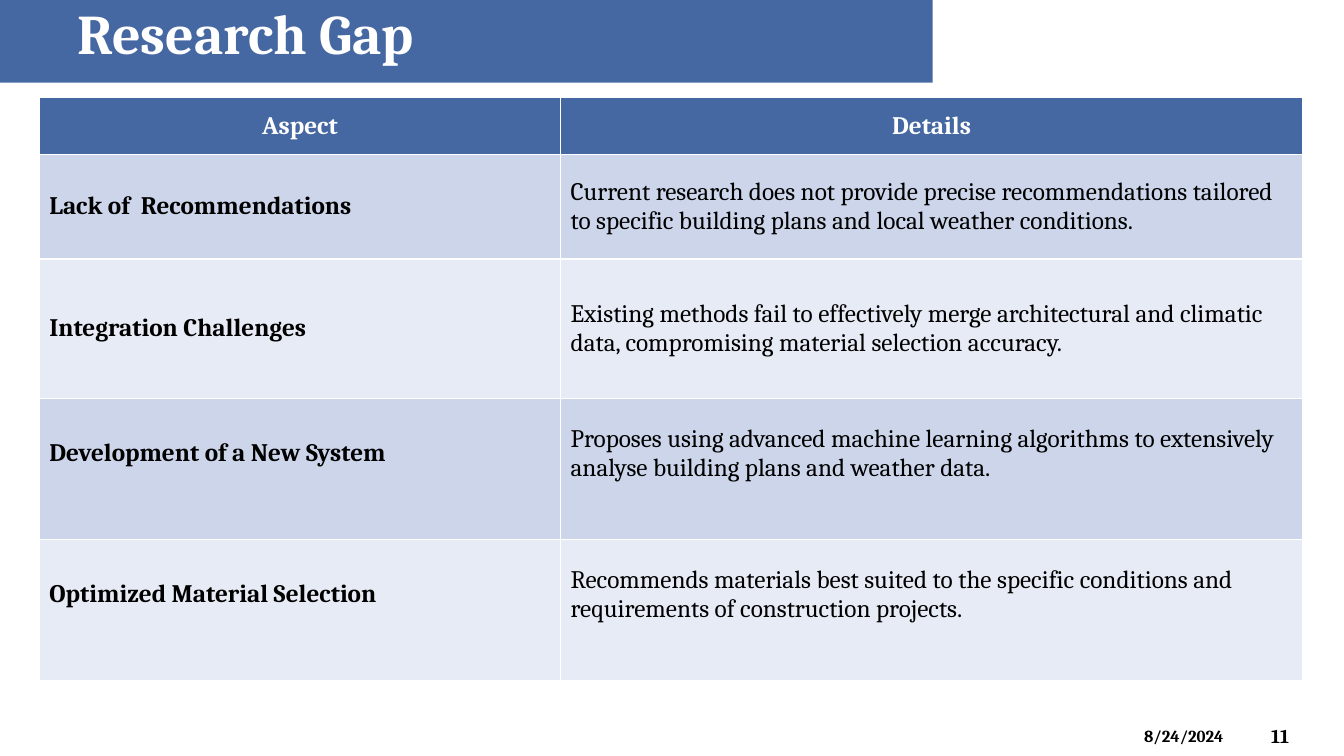
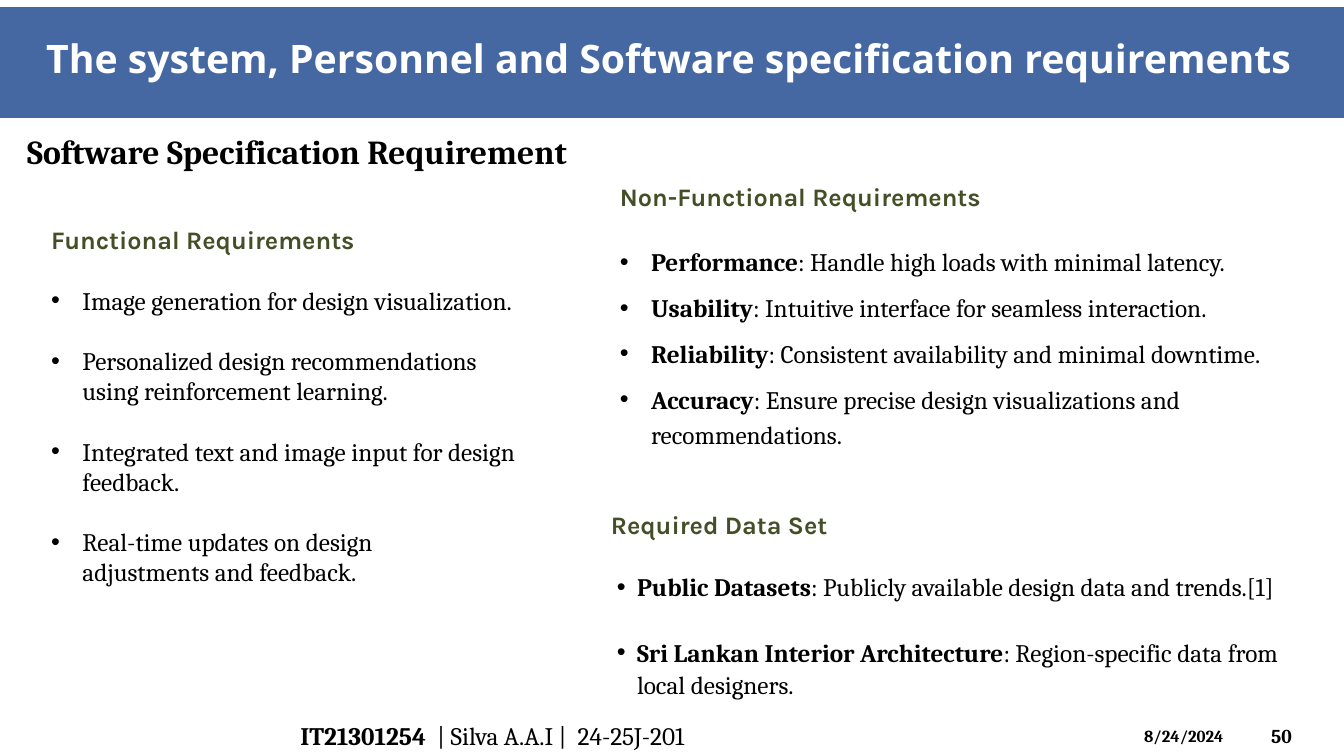
from dataclasses import dataclass

from lxml import etree
from pptx import Presentation
from pptx.dml.color import RGBColor
from pptx.enum.shapes import MSO_SHAPE as Preset
from pptx.enum.text import MSO_ANCHOR as Anchor, PP_ALIGN as Align
from pptx.oxml.ns import qn
from pptx.slide import Slide
from pptx.util import Inches, Length, Pt

COLOURS = {
    "band": "4668A2",
    "white": "FFFFFF",
    "ink": "000000",
    "heading": "444F27",
    "row_dark": "CCD5EA",
    "row_light": "E7EBF5",
}
SERIF = "Cambria"
HEADING_FONT = "Karla"
TITLE_FONT = "Open Sans"
DATE = "8/24/2024"
NBSP = chr(160)
BLANK_LINE = Pt(21.5)


@dataclass(frozen=True)
class Area:
    left: float
    top: float
    width: float
    height: float

    def lengths(self) -> tuple[Length, ...]:
        return tuple(Inches(n) for n in (self.left, self.top, self.width, self.height))


@dataclass(frozen=True)
class Style:
    size: float
    font: str = SERIF
    colour: str = "ink"
    bold: bool = False


@dataclass(frozen=True)
class Item:
    text: str
    label: str = ""


@dataclass(frozen=True)
class BulletList:
    area: Area
    heading: str
    items: tuple[Item, ...]
    indent: float = 0.31
    hanging: float = 0.31
    heading_indent: float = 0
    line_spacing: float | Length = 1.0
    gap_before: Length = Pt(0)
    gap_after: Length = Pt(0)


@dataclass(frozen=True)
class GapRow:
    aspect: str
    details: str
    height: float
    bottom_margin: float = 0.05


BODY = Style(18)
STRONG = Style(18, bold=True)
LIST_HEADING = Style(18, HEADING_FONT, "heading", True)
TABLE_HEADER = Style(18, colour="white", bold=True)

GAP_ROWS = (
    GapRow("Lack of  Recommendations",
           "Current research does not provide precise recommendations tailored "
           "to specific building plans and local weather conditions.", 1.04),
    GapRow("Integration Challenges",
           "Existing methods fail to effectively merge architectural and climatic "
           "data, compromising material selection accuracy.", 1.38),
    GapRow("Development of a New System",
           "Proposes using advanced machine learning algorithms to extensively "
           "analyse building plans and weather data.", 1.4, 0.35),
    GapRow("Optimized Material Selection",
           "Recommends materials best suited to the specific conditions and "
           "requirements of construction projects.", 1.4, 0.35),
)

REQUIREMENT_LISTS = (
    BulletList(
        Area(0.41, 2.18, 5, 3.74),
        "Functional Requirements",
        (
            Item("Image generation for design visualization."),
            Item("Personalized design recommendations using reinforcement learning."),
            Item("Integrated text and image input for design feedback."),
            Item(f"Real-time updates on design adjustments{NBSP}and{NBSP}feedback."),
        ),
        gap_before=BLANK_LINE,
    ),
    BulletList(
        Area(6.05, 1.75, 6.62, 3.85),
        "Non-Functional Requirements",
        (
            Item(": Handle high loads with minimal latency.", "Performance"),
            Item(": Intuitive interface for seamless interaction.", "Usability"),
            Item(": Consistent availability and minimal downtime.", "Reliability"),
            Item(": Ensure precise design visualizations and recommendations.", "Accuracy"),
        ),
        line_spacing=1.15,
        gap_after=Pt(8),
    ),
    BulletList(
        Area(5.83, 5, 7.25, 1.98),
        "Required Data Set",
        (
            Item(": Publicly available design data and trends.[1]", "Public Datasets"),
            Item(f": Region-specific data from local{NBSP}designers.",
                 "Sri Lankan Interior Architecture"),
        ),
        indent=0.39,
        hanging=0.2,
        heading_indent=0.13,
        line_spacing=Pt(23.3),
        gap_before=Pt(23.3),
    ),
)


def rgb(name: str) -> RGBColor:
    return RGBColor.from_string(COLOURS[name])


def set_font(font, style: Style) -> None:
    font.name = style.font
    font.size = Pt(style.size)
    font.bold = style.bold
    font.color.rgb = rgb(style.colour)


def add_span(para, text: str, style: Style) -> None:
    span = para.add_run()
    span.text = text
    set_font(span.font, style)


def add_frame(page: Slide, area: Area, anchor: Anchor = Anchor.TOP):
    frame = page.shapes.add_textbox(*area.lengths()).text_frame
    frame.word_wrap = True
    frame.vertical_anchor = anchor
    return frame


def write(para, text: str, style: Style, align: Align = Align.LEFT) -> None:
    para.text = text
    para.alignment = align
    set_font(para.font, style)


def add_text(page: Slide, area: Area, text: str, style: Style,
             align: Align = Align.LEFT, anchor: Anchor = Anchor.TOP) -> None:
    write(add_frame(page, area, anchor).paragraphs[0], text, style, align)


def add_band(page: Slide, area: Area) -> None:
    band = page.shapes.add_shape(Preset.RECTANGLE, *area.lengths())
    band.shadow.inherit = False
    band.fill.solid()
    band.fill.fore_color.rgb = rgb("band")
    band.line.fill.background()


def add_page(deck, number: int, band: Area) -> Slide:
    """Add a blank slide with the shared band, date and slide number."""
    page = deck.slides.add_slide(deck.slide_layouts[6])
    add_text(page, Area(12.51, 7.1, 0.74, 0.4), str(number),
             Style(14, bold=True), anchor=Anchor.MIDDLE)
    add_text(page, Area(11.25, 7.15, 1.17, 0.3), DATE, Style(12, bold=True))
    add_band(page, band)
    return page


def set_indent(para, left: float, hanging: float = 0, bullet: str = "") -> None:
    properties = para._p.get_or_add_pPr()
    properties.set("marL", str(Inches(left)))
    properties.set("indent", str(-Inches(hanging)))
    if bullet:
        font = etree.SubElement(properties, qn("a:buFont"))
        font.set("typeface", "Arial")
        etree.SubElement(properties, qn("a:buChar")).set("char", bullet)


def add_bullet_list(page: Slide, block: BulletList) -> None:
    frame = add_frame(page, block.area)
    heading = frame.paragraphs[0]
    write(heading, block.heading, LIST_HEADING)
    set_indent(heading, block.heading_indent)
    for index, item in enumerate(block.items):
        para = frame.add_paragraph()
        para.line_spacing = block.line_spacing
        para.space_before = block.gap_before if index else BLANK_LINE
        para.space_after = block.gap_after
        set_indent(para, block.indent, block.hanging, "•")
        if item.label:
            add_span(para, item.label, STRONG)
        add_span(para, item.text, BODY)


def fill_cell(cell, text: str, style: Style, fill: str,
              align: Align = Align.LEFT, bottom_margin: float = 0.05) -> None:
    cell.fill.solid()
    cell.fill.fore_color.rgb = rgb(fill)
    cell.vertical_anchor = Anchor.MIDDLE
    cell.margin_bottom = Inches(bottom_margin)
    write(cell.text_frame.paragraphs[0], text, style, align)


def add_gap_table(page: Slide) -> None:
    area = Area(0.39, 0.97, 12.53, 5.78)
    table = page.shapes.add_table(len(GAP_ROWS) + 1, 2, *area.lengths()).table
    for column, width in zip(table.columns, (5.17, 7.36)):
        column.width = Inches(width)
    table.rows[0].height = Inches(0.56)
    for index, title in enumerate(("Aspect", "Details")):
        fill_cell(table.cell(0, index), title, TABLE_HEADER, "band", Align.CENTER)
    for index, row in enumerate(GAP_ROWS, start=1):
        table.rows[index].height = Inches(row.height)
        fill = "row_dark" if index % 2 else "row_light"
        for column, (text, style) in enumerate(((row.aspect, STRONG), (row.details, BODY))):
            fill_cell(table.cell(index, column), text, style, fill,
                      bottom_margin=row.bottom_margin)


def add_research_gap(deck) -> None:
    page = add_page(deck, 11, Area(0, 0, 9.25, 0.82))
    add_text(page, Area(0.67, -0.06, 5, 0.77), "Research Gap",
             Style(40, colour="white", bold=True))
    add_gap_table(page)


def add_requirements(deck) -> None:
    page = add_page(deck, 50, Area(0, 0.07, 13.33, 1.1))
    author = add_frame(page, Area(2.88, 7.1, 7.45, 0.4), Anchor.MIDDLE).paragraphs[0]
    add_span(author, "IT21301254", STRONG)
    add_span(author, "  | Silva A.A.I |  24-25J-201", BODY)
    add_text(page, Area(0, 0.29, 13.26, 0.6),
             "The system, Personnel and Software specification requirements",
             Style(28, TITLE_FONT, "white", True), Align.CENTER)
    add_text(page, Area(0.17, 1.25, 6, 0.81), "Software Specification Requirement",
             Style(24, bold=True))
    for block in REQUIREMENT_LISTS:
        add_bullet_list(page, block)


def main() -> None:
    deck = Presentation()
    deck.slide_width = Inches(13.33)
    deck.slide_height = Inches(7.5)
    add_research_gap(deck)
    add_requirements(deck)
    deck.save("out.pptx")


if __name__ == "__main__":
    main()
